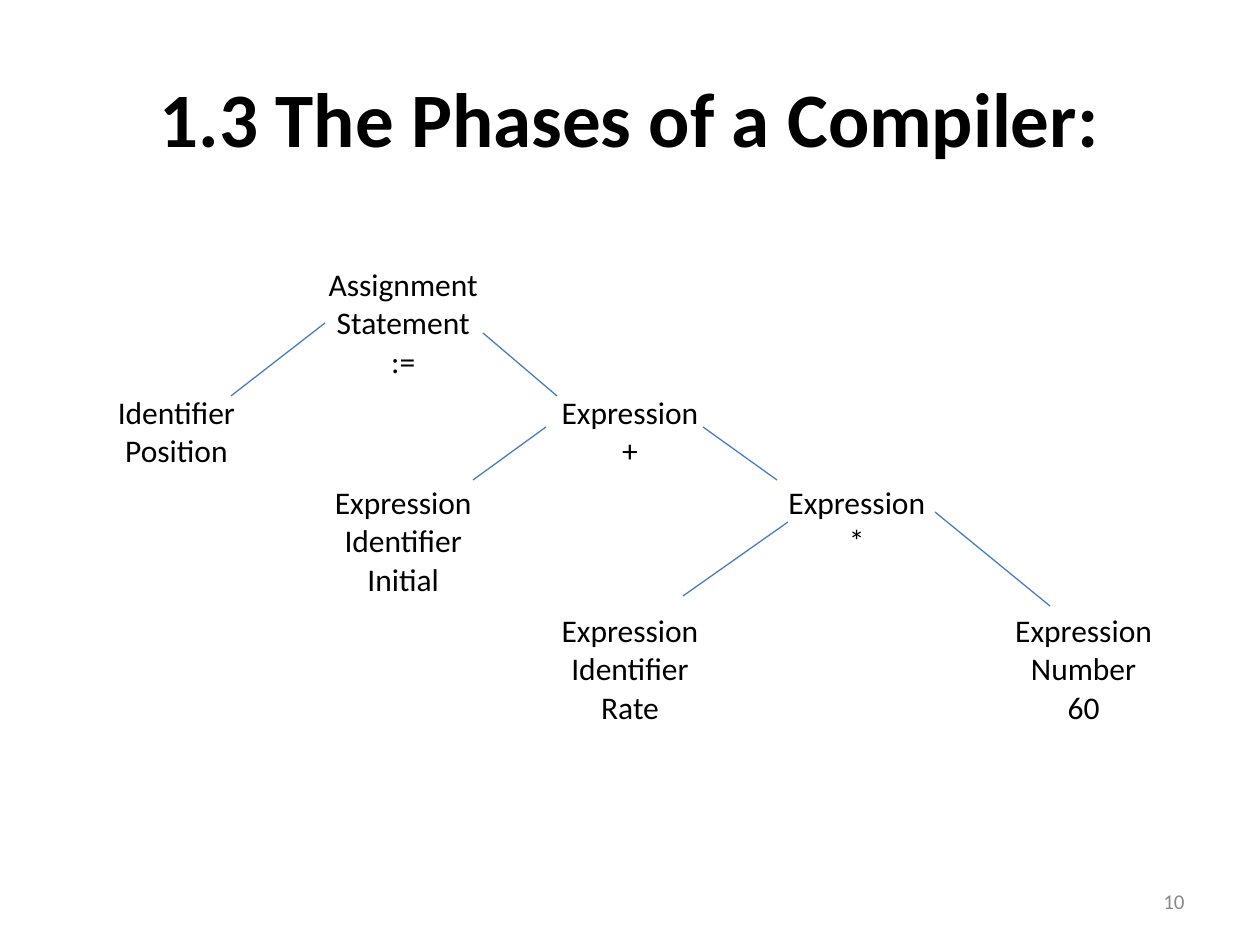
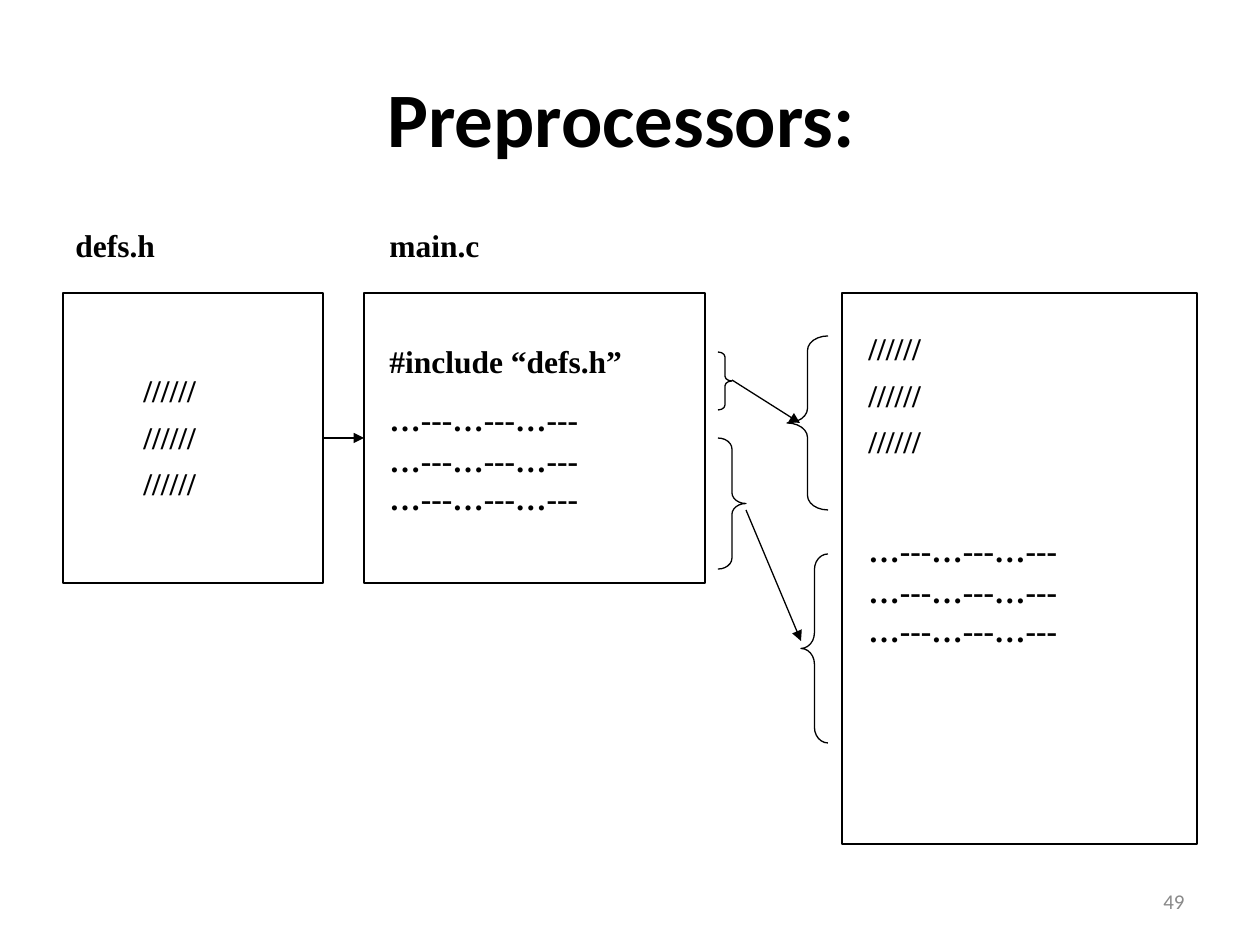
"""Build two compiler slides: a parse tree and the preprocessor's file inclusion."""
from dataclasses import dataclass

from lxml.etree import SubElement
from pptx import Presentation
from pptx.dml.color import RGBColor
from pptx.enum.shapes import MSO_CONNECTOR as Link, MSO_SHAPE as Preset
from pptx.enum.text import MSO_ANCHOR as Anchor, MSO_AUTO_SIZE as AutoSize, PP_ALIGN as Align
from pptx.oxml.ns import qn
from pptx.shapes.autoshape import Shape
from pptx.shapes.connector import Connector
from pptx.slide import Slide
from pptx.util import Emu, Pt

EMU_PER_PX = 914400 / 126
BLACK, GREY, BRANCH_BLUE = "000000", "898989", "4A7EBB"
SANS, SERIF = "Calibri", "Times New Roman"
TITLE_ONLY = 5


@dataclass(frozen=True)
class Frame:
    left: int
    top: int
    width: int
    height: int


@dataclass(frozen=True)
class Segment:
    x1: int
    y1: int
    x2: int
    y2: int


@dataclass(frozen=True)
class Brace:
    preset: Preset
    frame: Frame


@dataclass(frozen=True)
class Label:
    frame: Frame
    lines: tuple[str, ...]
    tight: float = 1.0


TREE_FRAME = Frame(63, 260, 1134, 526)
TREE_ROWS = (128, 90, 128, 128, 52)
TREE_COLUMNS = 5
TREE_NODES = {
    (0, 1): ("Assignment", "Statement", ":="),
    (1, 0): ("Identifier", "Position"),
    (1, 2): ("Expression", "+"),
    (2, 1): ("Expression", "Identifier", "Initial"),
    (2, 3): ("Expression", "*"),
    (3, 2): ("Expression", "Identifier", "Rate"),
    (3, 4): ("Expression", "Number", "60"),
}
BRANCHES = (
    Segment(231, 396, 325, 323),
    Segment(483, 333, 557, 396),
    Segment(473, 480, 546, 427),
    Segment(703, 427, 777, 480),
    Segment(935, 512, 1050, 606),
    Segment(683, 596, 788, 522),
)

HEADER_FILE = Frame(63, 293, 260, 290)
MAIN_FILE = Frame(364, 293, 341, 290)
EXPANDED_FILE = Frame(842, 293, 355, 551)
DEFINITIONS = ("//////",) * 3
CODE = ("…---…---…---",) * 3
LABELS = (
    Label(Frame(63, 220, 246, 50), ("defs.h",)),
    Label(Frame(377, 220, 246, 50), ("main.c",)),
    Label(Frame(131, 365, 178, 144), DEFINITIONS, 0.7),
    Label(Frame(377, 336, 341, 185), ("#include “defs.h”", *CODE), 0.5),
    Label(Frame(856, 323, 178, 144), DEFINITIONS, 0.7),
    Label(Frame(856, 525, 341, 129), CODE, 0.5),
)
BRACES = (
    Brace(Preset.RIGHT_BRACE, Frame(718, 352, 14, 58)),
    Brace(Preset.RIGHT_BRACE, Frame(718, 438, 28, 131)),
    Brace(Preset.LEFT_BRACE, Frame(787, 336, 41, 174)),
    Brace(Preset.LEFT_BRACE, Frame(801, 554, 27, 189)),
)
EXPANSIONS = (Segment(732, 380, 800, 423), Segment(746, 510, 801, 641))


def px(length: int) -> Emu:
    """Turn pixels into EMU."""
    return Emu(round(length * EMU_PER_PX))


def place(frame: Frame) -> tuple[Emu, ...]:
    """Give left, top, width and height in EMU."""
    return px(frame.left), px(frame.top), px(frame.width), px(frame.height)


def color(value: str) -> RGBColor:
    """Turn a hex string into a colour."""
    return RGBColor.from_string(value)


def style(para, size: int, name: str, ink: str = BLACK, bold: bool = False) -> None:
    """Set the font of a whole paragraph."""
    font = para.font
    font.size, font.name, font.bold = Pt(size), name, bold
    font.color.rgb = color(ink)


def add_page(deck, title: str, number: str) -> Slide:
    """Add a slide with its title and page number."""
    page = deck.slides.add_slide(deck.slide_layouts[TITLE_ONLY])
    heading = page.shapes.title
    heading.left, heading.top, heading.width, heading.height = place(Frame(63, 38, 1134, 157))
    heading.text_frame.text = title
    heading.text_frame.vertical_anchor = Anchor.MIDDLE
    para = heading.text_frame.paragraphs[0]
    para.alignment = Align.CENTER
    style(para, 44, SANS, bold=True)

    footer = page.shapes.add_textbox(*place(Frame(903, 876, 294, 50))).text_frame
    footer.word_wrap = True
    footer.vertical_anchor = Anchor.MIDDLE
    footer.text = number
    footer.paragraphs[0].alignment = Align.RIGHT
    style(footer.paragraphs[0], 12, SANS, GREY)
    return page


def add_line(page: Slide, segment: Segment, ink: str, arrow: bool = False) -> Connector:
    """Draw a straight line, with an arrowhead at its end if asked."""
    ends = (px(value) for value in (segment.x1, segment.y1, segment.x2, segment.y2))
    line = page.shapes.add_connector(Link.STRAIGHT, *ends)
    line.line.color.rgb = color(ink)
    line.line.width = Pt(0.75)
    properties = line.element.spPr
    if arrow:
        SubElement(properties.find(qn("a:ln")), qn("a:tailEnd"), type="triangle")
    SubElement(properties, qn("a:effectLst"))
    return line


def add_outline(page: Slide, preset: Preset, frame: Frame) -> Shape:
    """Draw an unfilled preset shape with a thin black line."""
    shape = page.shapes.add_shape(preset, *place(frame))
    shape.shadow.inherit = False
    shape.fill.background()
    shape.line.color.rgb = color(BLACK)
    shape.line.width = Pt(0.75)
    return shape


def add_brace(page: Slide, brace: Brace) -> None:
    """Draw a brace whose curves take a twelfth of its height."""
    shape = add_outline(page, brace.preset, brace.frame)
    shape.adjustments[0] = brace.frame.height / brace.frame.width / 12


def add_label(page: Slide, label: Label) -> None:
    """Write a label, setting repeated lines closer together."""
    box = page.shapes.add_textbox(*place(label.frame)).text_frame
    box.word_wrap = True
    box.auto_size = AutoSize.SHAPE_TO_FIT_TEXT
    box.text = "\n".join(label.lines)
    previous = ""
    for para in box.paragraphs:
        para.space_before = Pt(11.2)
        if para.text == previous:
            para.line_spacing = label.tight
        style(para, 18, SERIF, bold=True)
        previous = para.text


def add_tree(page: Slide) -> None:
    """Lay the nodes out in a plain table and draw the branches."""
    table = page.shapes.add_table(len(TREE_ROWS), TREE_COLUMNS, *place(TREE_FRAME)).table
    table.first_row = table.horz_banding = False
    for column in table.columns:
        column.width = px(TREE_FRAME.width) // TREE_COLUMNS
    for row, height in zip(table.rows, TREE_ROWS):
        row.height = px(height)
    for cell in table.iter_cells():
        cell.fill.background()
    for position, lines in TREE_NODES.items():
        node = table.cell(*position).text_frame
        node.text = "\n".join(lines)
        for para in node.paragraphs:
            para.alignment = Align.CENTER
            style(para, 18, SANS)
    for branch in BRANCHES:
        add_line(page, branch, BRANCH_BLUE)


def add_inclusion(page: Slide) -> None:
    """Draw the files, their contents and the way they are merged."""
    header, main_file, _ = (
        add_outline(page, Preset.RECTANGLE, frame)
        for frame in (HEADER_FILE, MAIN_FILE, EXPANDED_FILE)
    )
    for label in LABELS:
        add_label(page, label)
    for brace in BRACES:
        add_brace(page, brace)
    include = add_line(page, Segment(323, 438, 364, 438), BLACK, arrow=True)
    include.begin_connect(header, 3)
    include.end_connect(main_file, 1)
    for expansion in EXPANSIONS:
        add_line(page, expansion, BLACK, arrow=True)


def main() -> None:
    """Build and save the deck."""
    deck = Presentation()
    deck.slide_width, deck.slide_height = px(1260), px(945)
    add_tree(add_page(deck, "1.3 The Phases of a Compiler:", "10"))
    add_inclusion(add_page(deck, "Preprocessors: ", "49"))
    deck.save("out.pptx")


if __name__ == "__main__":
    main()
